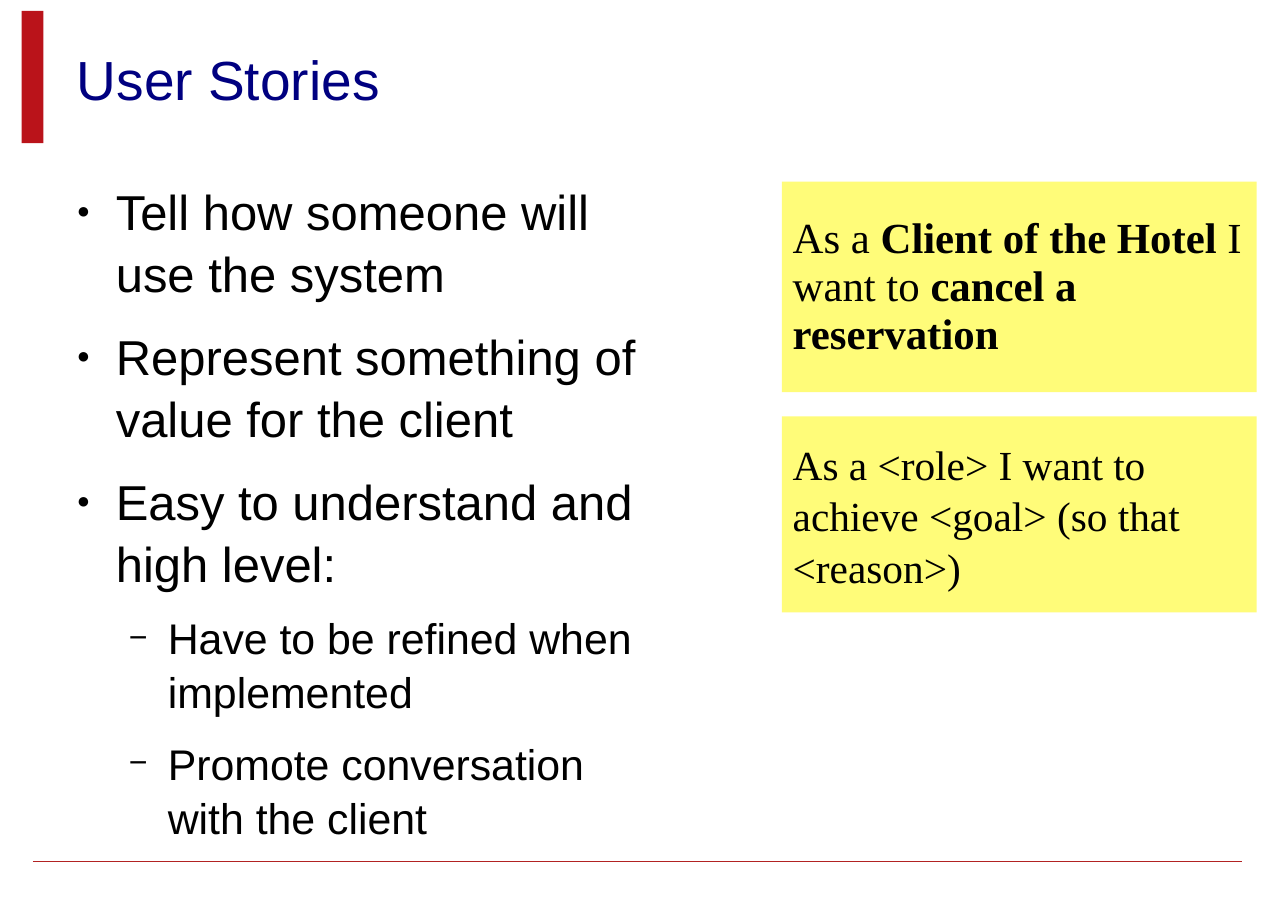
"""Build the User Stories slide."""
from dataclasses import dataclass

from lxml.etree import SubElement
from pptx import Presentation
from pptx.dml.color import RGBColor
from pptx.enum.shapes import MSO_CONNECTOR, MSO_SHAPE
from pptx.enum.text import MSO_ANCHOR, MSO_AUTO_SIZE, PP_ALIGN
from pptx.oxml.ns import qn
from pptx.util import Cm, Pt


@dataclass(frozen=True)
class Theme:
    sans: str = "Arial"
    serif: str = "Times New Roman"
    title_color: str = "000080"
    text_color: str = "000000"
    bar_color: str = "BA131A"
    rule_color: str = "B22222"
    note_color: str = "FFFC79"
    title_size: int = 36
    body_sizes: tuple = (32, 28)
    body_gaps: tuple = (14.1, 11.3)
    body_spacing: float = 1.05
    bullets: tuple = (("●", 45), ("−", 75))


class SlideBuilder:
    def __init__(self, slide, theme):
        self.s = slide
        self.theme = theme

    def place(self, sp, left, top, width, height):
        sp.left, sp.top, sp.width, sp.height = map(Cm, (left, top, width, height))

    def frame(self, sp, anchor, inset=0):
        tf = sp.text_frame
        tf.word_wrap = True
        tf.auto_size = MSO_AUTO_SIZE.NONE
        tf.vertical_anchor = anchor
        tf.margin_left = tf.margin_right = tf.margin_top = tf.margin_bottom = Cm(inset)
        return tf

    def format(self, r, font, size, color, bold=False):
        r.font.name = font
        r.font.size = Pt(size)
        r.font.bold = bold
        r.font.color.rgb = RGBColor.from_string(color)

    def indent(self, p, left, first=0):
        pPr = p._p.get_or_add_pPr()
        pPr.set("marL", str(Cm(left)))
        pPr.set("indent", str(Cm(first)))
        return pPr

    def bullet(self, p, char, percent):
        pPr = self.indent(p, 1.2 * (p.level + 1), -0.9)
        color = SubElement(pPr, qn("a:buClr"))
        SubElement(color, qn("a:srgbClr"), val=self.theme.text_color)
        SubElement(pPr, qn("a:buSzPct"), val=str(percent * 1000))
        SubElement(pPr, qn("a:buFont"), typeface=self.theme.sans)
        SubElement(pPr, qn("a:buChar"), char=char)

    def title(self, text, box):
        sp = self.s.shapes.title
        self.place(sp, *box)
        tf = self.frame(sp, MSO_ANCHOR.MIDDLE, 0.15)
        tf.text = text
        p = tf.paragraphs[0]
        p.alignment = PP_ALIGN.LEFT
        self.indent(p, 0.1)
        self.format(p.runs[0], self.theme.sans, self.theme.title_size, self.theme.title_color)

    def body(self, items, box):
        sp = self.s.placeholders[1]
        self.place(sp, *box)
        tf = self.frame(sp, MSO_ANCHOR.TOP)
        tf.text = "\n".join(text for _, text in items)
        for i, (p, (level, _)) in enumerate(zip(tf.paragraphs, items)):
            p.level = level
            p.line_spacing = self.theme.body_spacing
            p.space_before = Pt(self.theme.body_gaps[level] if i else 0)
            self.bullet(p, *self.theme.bullets[level])
            size = self.theme.body_sizes[level]
            self.format(p.runs[0], self.theme.sans, size, self.theme.text_color)

    def rect(self, box, color):
        sp = self.s.shapes.add_shape(MSO_SHAPE.RECTANGLE, *map(Cm, box))
        sp.shadow.inherit = False
        sp.fill.solid()
        sp.fill.fore_color.rgb = RGBColor.from_string(color)
        sp.line.fill.background()
        return sp

    def rule(self, left, right, y):
        line = self.s.shapes.add_connector(
            MSO_CONNECTOR.STRAIGHT, Cm(left), Cm(y), Cm(right), Cm(y))
        line.line.color.rgb = RGBColor.from_string(self.theme.rule_color)
        line.line.width = Pt(1)
        SubElement(line._element.spPr, qn("a:effectLst"))

    def note(self, parts, box, size, spacing):
        tf = self.frame(self.rect(box, self.theme.note_color), MSO_ANCHOR.MIDDLE)
        p = tf.paragraphs[0]
        p.alignment = PP_ALIGN.LEFT
        p.line_spacing = spacing
        self.indent(p, 0.25)
        for text, bold in parts:
            r = p.add_run()
            r.text = text
            self.format(r, self.theme.serif, size, self.theme.text_color, bold)


def main():
    theme = Theme()
    prs = Presentation()
    prs.slide_width, prs.slide_height = Cm(29.7), Cm(21)
    slide = SlideBuilder(prs.slides.add_slide(prs.slide_layouts[1]), theme)

    slide.rect((0.5, 0.25, 0.5, 3.05), theme.bar_color)
    slide.rule(0.76, 28.65, 19.86)
    slide.title("User Stories", (1.52, 0.3, 27.18, 3))
    slide.body([
        (0, "Tell how someone will use the system"),
        (0, "Represent something of value for the client"),
        (0, "Easy to understand and high level:"),
        (1, "Have to be refined when implemented"),
        (1, "Promote conversation with the client"),
    ], (1.47, 4.12, 13.3, 15))
    slide.note([
        ("As a ", False), ("Client of the Hotel", True),
        (" I want to ", False), ("cancel a reservation", True),
    ], (18.03, 4.19, 10.95, 4.85), 28, 0.93)
    slide.note([
        ("As a <role> I want to achieve <goal> (so that <reason>)", False),
    ], (18.03, 9.6, 10.95, 4.52), 27, 1.04)

    prs.save("out.pptx")


if __name__ == "__main__":
    main()
